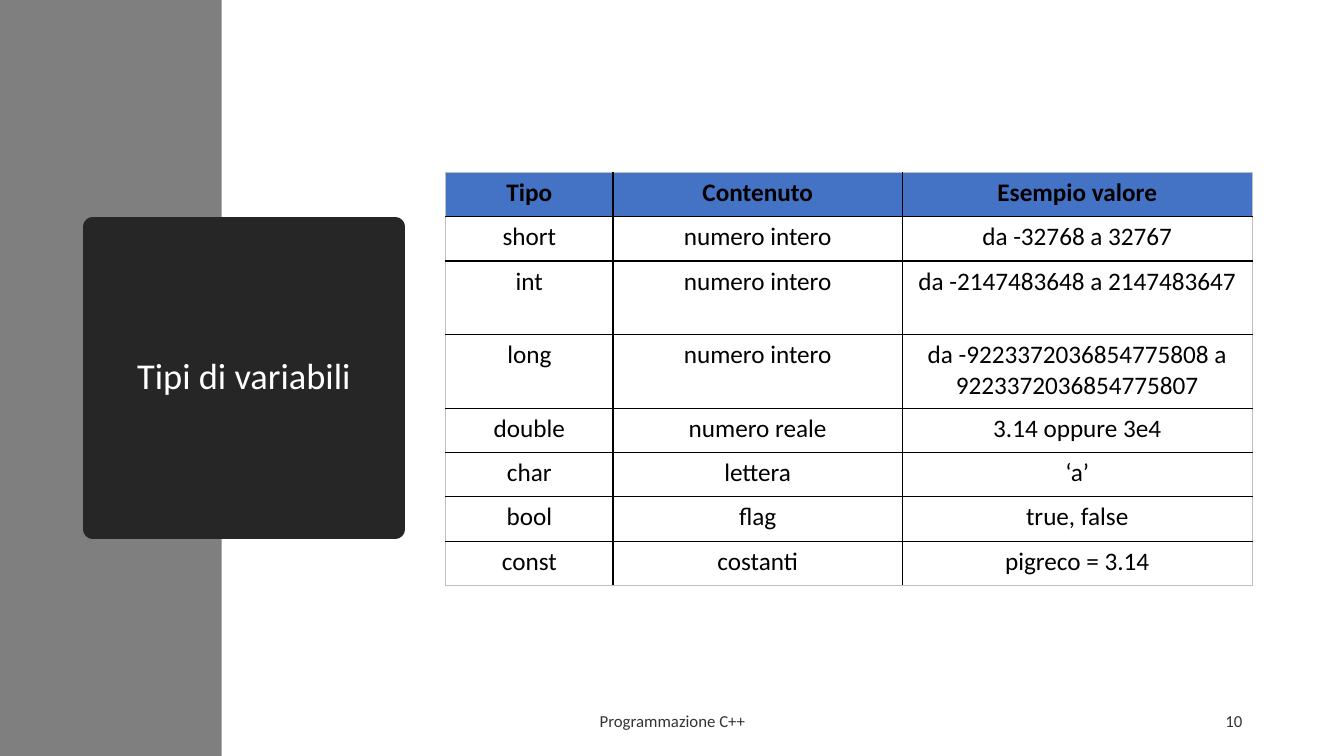
from lxml import etree
from pptx import Presentation
from pptx.dml.color import RGBColor
from pptx.enum.shapes import MSO_SHAPE
from pptx.enum.text import MSO_ANCHOR, MSO_AUTO_SIZE, PP_ALIGN
from pptx.oxml.ns import qn
from pptx.util import Inches, Pt

RECT = MSO_SHAPE.RECTANGLE
MIDDLE, TOP = MSO_ANCHOR.MIDDLE, MSO_ANCHOR.TOP
FIXED = MSO_AUTO_SIZE.NONE
CENTER, RIGHT = PP_ALIGN.CENTER, PP_ALIGN.RIGHT

COLORS = {"band": "7F7F7F", "panel": "262626", "head": "4472C4",
          "white": "FFFFFF", "black": "000000", "edge": "BFBFBF"}

ROWS = [
    ("Tipo", "Contenuto", "Esempio valore"),
    ("short", "numero intero", "da -32768 a 32767"),
    ("int", "numero intero", "da -2147483648 a 2147483647"),
    ("long", "numero intero", "da -9223372036854775808 a 9223372036854775807"),
    ("double", "numero reale", "3.14 oppure 3e4"),
    ("char", "lettera", "‘a’"),
    ("bool", "flag", "true, false"),
    ("const", "costanti", "pigreco = 3.14"),
]
WIDTHS = [1.66, 2.87, 3.47]
LOW, HIGH = 0.44, 0.73
TALL = ("int", "long")


def color(name):
    return RGBColor.from_string(COLORS[name])


class Deck:
    def __init__(self, slide, font):
        self.slide, self.font = slide, font

    def label(self, frame, text, size, tint="black", bold=False,
              align=CENTER, anchor=MIDDLE, **gaps):
        frame.word_wrap = True
        frame.vertical_anchor = anchor
        frame.text = text
        para = frame.paragraphs[0]
        for key, value in {"alignment": align, **gaps}.items():
            setattr(para, key, value)
        font = para.runs[0].font
        for key, value in {"name": self.font, "size": Pt(size), "bold": bold}.items():
            setattr(font, key, value)
        font.color.rgb = color(tint)

    def band(self, *box):
        shape = self.slide.shapes.add_shape(RECT, *map(Inches, box))
        shape.shadow.inherit = False
        shape.fill.solid()
        shape.fill.fore_color.rgb = color("band")
        shape.line.fill.background()
        # Send behind the title
        shape.element.getparent().insert(2, shape.element)

    def title(self, text, *box):
        shape = self.slide.shapes.title
        for key, value in zip(("left", "top", "width", "height"), box):
            setattr(shape, key, Inches(value))
        shape.fill.solid()
        shape.fill.fore_color.rgb = color("panel")
        shape.line.color.rgb = color("panel")
        shape.line.width = Pt(13.75)
        shape.text_frame.auto_size = FIXED
        self.label(shape.text_frame, text, 26, "white", line_spacing=0.9)

    def note(self, text, align, *box):
        shape = self.slide.shapes.add_textbox(*map(Inches, box))
        self.label(shape.text_frame, text, 12, align=align, space_after=Pt(6))
        # Text at 80 % opacity
        for fill in shape.element.iter(qn("a:srgbClr")):
            etree.SubElement(fill, qn("a:alpha"), val="80000")

    def border(self, cell, side, tint, width):
        props = cell._tc.get_or_add_tcPr()
        line = etree.SubElement(props, qn("a:ln" + side), w=str(Pt(width)))
        fill = etree.SubElement(line, qn("a:solidFill"))
        etree.SubElement(fill, qn("a:srgbClr"), val=COLORS[tint])

    def table(self, rows, widths, heights, left, top):
        box = (left, top, sum(widths), sum(heights))
        grid = self.slide.shapes.add_table(
            len(rows), len(widths), *map(Inches, box)).table
        grid.horz_banding = grid.first_row = False
        for col, width in zip(grid.columns, widths):
            col.width = Inches(width)
        for r, row in enumerate(rows):
            grid.rows[r].height = Inches(heights[r])
            for c, text in enumerate(row):
                cell = grid.cell(r, c)
                self.label(cell.text_frame, text, 18, bold=r == 0, anchor=TOP)
                # Pale outer edge, black inner rules
                outer = {"L": c == 0, "R": c == len(widths) - 1,
                         "T": r == 0, "B": r == len(rows) - 1}
                for side, edge in outer.items():
                    self.border(cell, side, *(("edge", 0.75) if edge else ("black", 1)))
                if r == 0:
                    cell.fill.solid()
                    cell.fill.fore_color.rgb = color("head")
                else:
                    cell.fill.background()


prs = Presentation()
prs.slide_width, prs.slide_height = Inches(13.33), Inches(7.5)
deck = Deck(prs.slides.add_slide(prs.slide_layouts[5]), "Calibri")

# Side band and title panel
deck.band(0, 0, 2.2, 7.5)
deck.title("Tipi di variabili", 0.92, 2.25, 3, 3)

# Table of types
heights = [HIGH if row[0] in TALL else LOW for row in ROWS]
deck.table(ROWS, WIDTHS, heights, 4.42, 1.71)

# Footer and page number
deck.note("Programmazione C++", CENTER, 4.42, 6.95, 4.5, 0.4)
deck.note("10", RIGHT, 9.42, 6.95, 3, 0.4)

prs.save("out.pptx")
